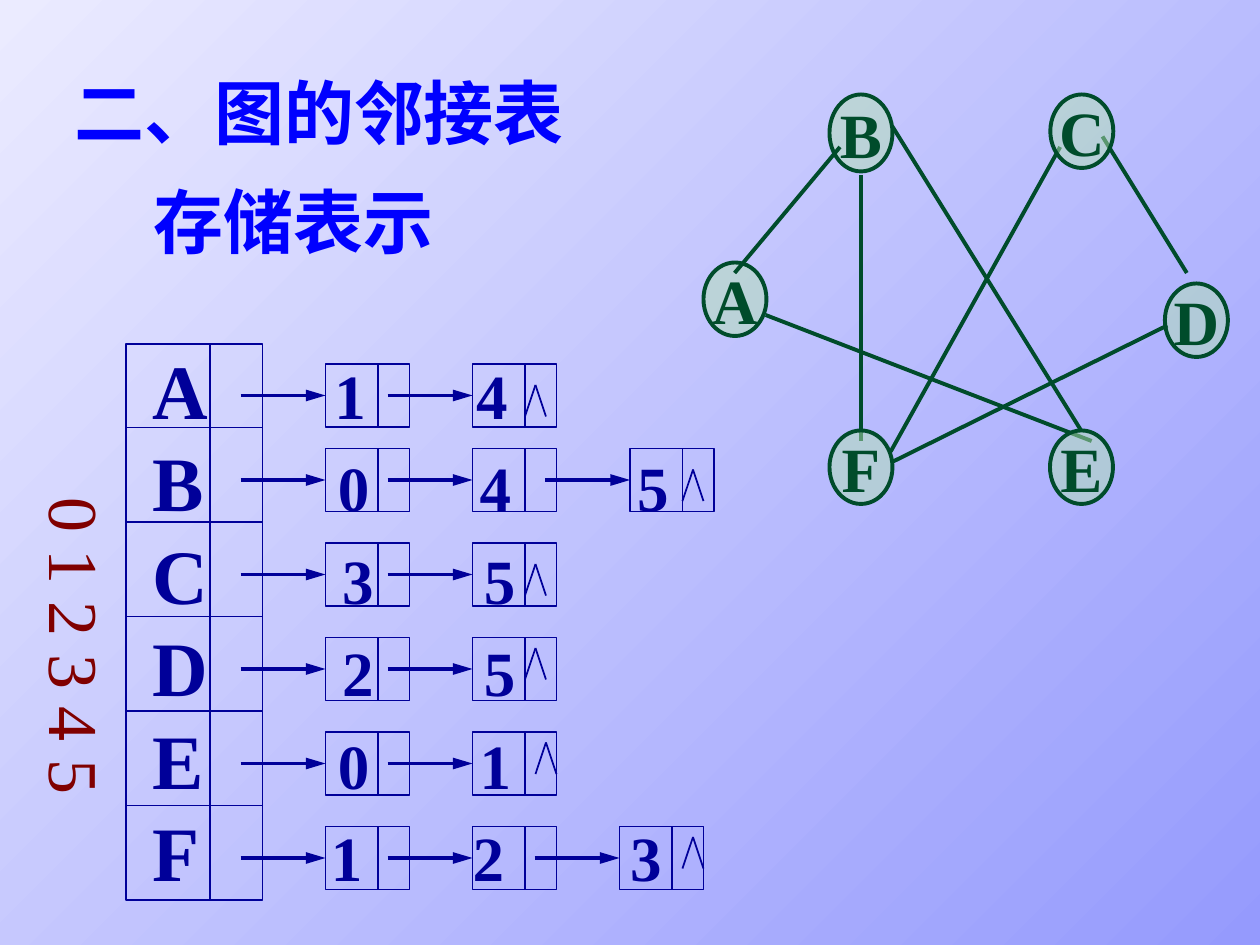
from lxml import etree
from pptx import Presentation
from pptx import util as u
from pptx.dml.color import RGBColor
from pptx.enum import shapes, text
from pptx.oxml.ns import qn

Pt = u.Pt
FONT = "Times New Roman"
COLORS = {"dark": "959AFD", "light": "EBEBFF", "title": "0000FF", "list": "000099",
          "index": "800000", "edge": "004C2B", "node": "B3E1B3"}

TITLE = ["二、图的邻接表", "存储表示"]
INDEXES = "0 1 2 3 4 5"

# Graph nodes: left, top, height
BACK_NODES = {"D": (665.7, 162, 42), "B": (474, 54, 44), "A": (402, 150, 42)}
FRONT_NODES = {"C": (600.2, 54, 42), "F": (474, 246, 42), "E": (600, 246, 42)}
EDGES = [(480, 84, 419.8, 156), (509.8, 72, 617.8, 246), (437.5, 180, 623.8, 252),
         (605.8, 84, 509, 258), (630, 78, 678.2, 156), (667, 186, 509.8, 264),
         (492, 100, 492, 252)]

# Adjacency rows: vertex, neighbours, row top, first tab, cell lefts, nil mark offset
ROWS = [("A", "14", 208, 104, (186, 270), (36, 12)),
        ("B", "045", 256.3, 106, (186, 270, 360), (36, 12)),
        ("C", "35", 310.3, 108.5, (186, 270), (36, 12)),
        ("D", "25", 364.3, 108.5, (186, 270), (36, 6)),
        ("E", "01", 418.3, 106, (186, 270), (42, 6)),
        ("F", "123", 472.3, 102, (186, 270, 354), (42, 6))]
TAB_STEPS = (0, 81, 171)
TABLE_LEFT, TABLE_TOP, TABLE_WIDTH, TABLE_HEIGHT = 72, 196.4, 78, 318
CELL_WIDTH, CELL_HEIGHT, DIVIDER, ARROW = 48, 36, 30, 48.5

presentation = Presentation()
presentation.slide_width, presentation.slide_height = Pt(720), Pt(540)
slide = presentation.slides.add_slide(presentation.slide_layouts[5])


def rgb(name):
    return RGBColor.from_string(COLORS[name])


def set_font(font, size, color, bold=True):
    font.name, font.size, font.bold = FONT, Pt(size), bold
    font.color.rgb = rgb(color)


def add_line(x1, y1, x2, y2, color="list", width=1):
    line = slide.shapes.add_connector(shapes.MSO_CONNECTOR.STRAIGHT,
                                      Pt(x1), Pt(y1), Pt(x2), Pt(y2))
    line.line.color.rgb = rgb(color)
    line.line.width = Pt(width)
    etree.SubElement(line._element.spPr, qn("a:effectLst"))
    return line


def add_box(kind, left, top, width, height, color="list", line_width=1):
    shape = slide.shapes.add_shape(kind, Pt(left), Pt(top), Pt(width), Pt(height))
    shape.shadow.inherit = False
    shape.fill.background()
    shape.line.color.rgb = rgb(color)
    shape.line.width = Pt(line_width)
    return shape


def add_node(name, left, top, height):
    node = add_box(shapes.MSO_SHAPE.OVAL, left, top, 36, height, "edge", 2.25)
    node.fill.solid()
    node.fill.fore_color.rgb = rgb("node")
    color = node._element.spPr.find(qn("a:solidFill"))[0]
    etree.SubElement(color, qn("a:alpha"), val="50000")
    frame = node.text_frame
    frame.word_wrap = False
    frame.vertical_anchor = text.MSO_ANCHOR.MIDDLE
    paragraph = frame.paragraphs[0]
    paragraph.text = name
    paragraph.alignment = text.PP_ALIGN.CENTER
    paragraph.line_spacing = Pt(43.2)
    set_font(paragraph.font, 36, "edge")


def add_cell(left, top):
    cell = add_box(shapes.MSO_SHAPE.RECTANGLE, left, top, CELL_WIDTH, CELL_HEIGHT)
    add_line(left + DIVIDER, top, left + DIVIDER, top + CELL_HEIGHT)
    middle = top + CELL_HEIGHT / 2
    arrow = add_line(left - ARROW, middle, left, middle, width=2.25)
    arrow.end_connect(cell, 1)
    etree.SubElement(arrow.line._get_or_add_ln(), qn("a:tailEnd"),
                     type="triangle", w="med", len="lg")


# Background
background = slide.background.fill
background.gradient()
background.gradient_angle = 135
for stop, name in zip(background.gradient_stops, ("dark", "light")):
    stop.color.rgb = rgb(name)

# Title
title = slide.shapes.title
title.left, title.top, title.width, title.height = Pt(35.3), Pt(21.6), Pt(312.5), Pt(132.5)
frame = title.text_frame
frame.text = "\n".join(TITLE)
frame.vertical_anchor = text.MSO_ANCHOR.TOP
frame.auto_size = text.MSO_AUTO_SIZE.NONE
for paragraph in frame.paragraphs:
    paragraph.alignment = text.PP_ALIGN.LEFT
    paragraph.line_spacing = Pt(62.4)
    set_font(paragraph.font, 40, "title")
frame.paragraphs[1]._p.get_or_add_pPr().set("marL", str(Pt(45.5)))

# Graph
for name, place in BACK_NODES.items():
    add_node(name, *place)
for edge in EDGES:
    add_line(*edge, "edge", 2.25)
for name, place in FRONT_NODES.items():
    add_node(name, *place)

# Vertices and neighbours
frame = slide.shapes.add_textbox(Pt(80), Pt(192.2), Pt(346), Pt(324)).text_frame
frame.word_wrap = True
for number, (vertex, neighbours, _, first_tab, _, _) in enumerate(ROWS):
    paragraph = frame.add_paragraph() if number else frame.paragraphs[0]
    paragraph.line_spacing = Pt(52.8)
    tabs = etree.SubElement(paragraph._p.get_or_add_pPr(), qn("a:tabLst"))
    for step in TAB_STEPS[:len(neighbours)]:
        etree.SubElement(tabs, qn("a:tab"), pos=str(Pt(first_tab + step)), algn="l")
    for words, size in ((vertex, 44), ("\t" + "\t".join(neighbours), 36)):
        run = paragraph.add_run()
        run.text = words
        set_font(run.font, size, "list")

# Vertex table
add_box(shapes.MSO_SHAPE.RECTANGLE, TABLE_LEFT, TABLE_TOP, TABLE_WIDTH, TABLE_HEIGHT)
for number in range(len(ROWS) - 1):
    y = 244.3 + 54 * number
    add_line(TABLE_LEFT, y, TABLE_LEFT + TABLE_WIDTH, y)
add_line(120, TABLE_TOP, 120, TABLE_TOP + TABLE_HEIGHT)

# Linked cells, each row closed by a nil mark
for _, _, top, _, lefts, (nil_x, nil_y) in ROWS:
    for left in lefts:
        add_cell(left, top)
    x, y = lefts[-1] + nil_x, top + nil_y
    for side in (-6, 6):
        add_line(x, y, x + side, y + 18)

# Vertical indexes, the top margin sets where the column starts
frame = slide.shapes.add_textbox(Pt(13), Pt(198), Pt(62), Pt(342)).text_frame
frame.word_wrap = True
frame.vertical_anchor = text.MSO_ANCHOR.MIDDLE
frame.margin_left = frame.margin_right = Pt(3.6)
frame.margin_top, frame.margin_bottom = Pt(86), Pt(7.2)
frame._txBody.bodyPr.set("vert", "eaVert")
paragraph = frame.paragraphs[0]
paragraph.text = INDEXES
paragraph.alignment = text.PP_ALIGN.LEFT
set_font(paragraph.font, 40, "index", False)

presentation.save("out.pptx")
